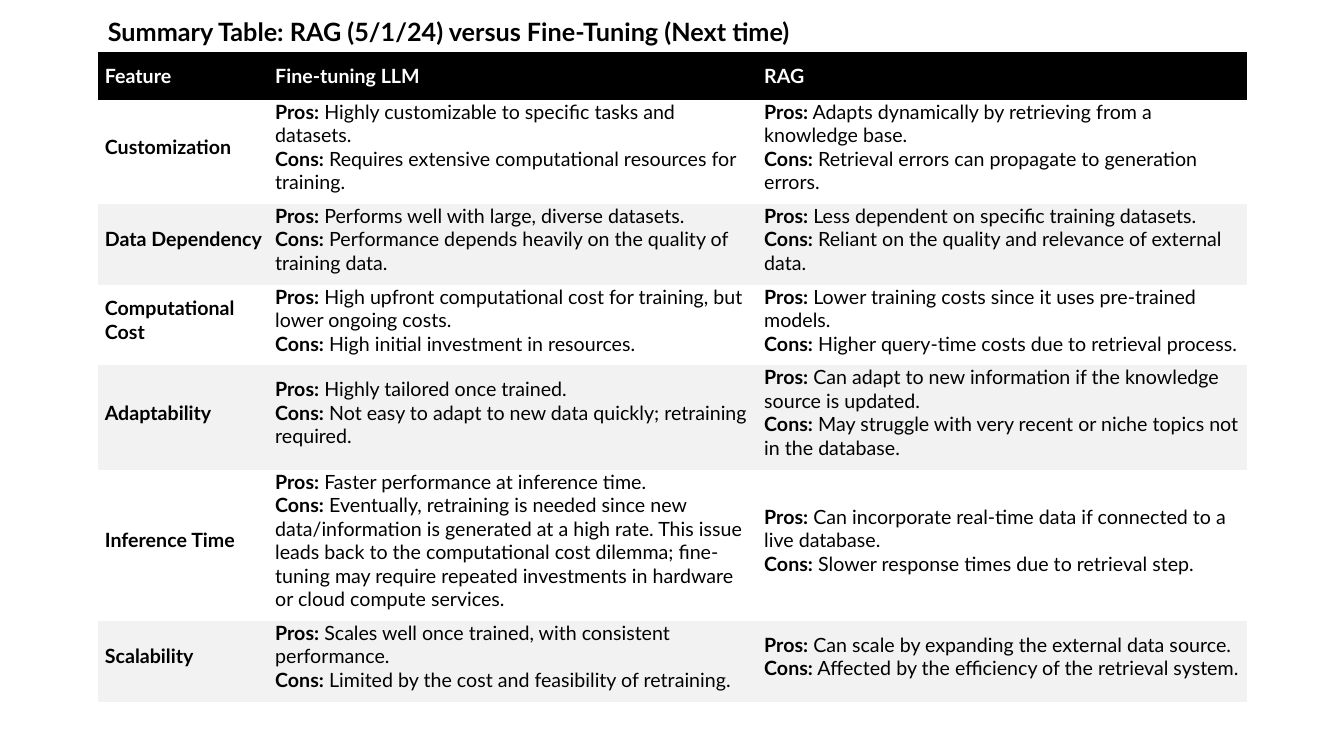
from pptx import Presentation
from pptx import util as u
from pptx.dml.color import RGBColor
from pptx.enum import text

TITLE = "Summary Table: RAG (5/1/24) versus Fine-Tuning (Next time)"
HEADERS = ["Feature", "Fine-tuning LLM", "RAG"]
# Feature, (pros, cons) of fine-tuning, (pros, cons) of RAG, text lines in the row
FEATURES = [
    ("Customization",
     ("Highly customizable to specific tasks and datasets.",
      "Requires extensive computational resources for training."),
     ("Adapts dynamically by retrieving from a knowledge base.",
      "Retrieval errors can propagate to generation errors."), 4),
    ("Data Dependency",
     ("Performs well with large, diverse datasets.",
      "Performance depends heavily on the quality of training data."),
     ("Less dependent on specific training datasets.",
      "Reliant on the quality and relevance of external data."), 3),
    ("Computational Cost",
     ("High upfront computational cost for training, but lower ongoing costs.",
      "High initial investment in resources."),
     ("Lower training costs since it uses pre-trained models.",
      "Higher query-time costs due to retrieval process."), 3),
    ("Adaptability",
     ("Highly tailored once trained.",
      "Not easy to adapt to new data quickly; retraining required."),
     ("Can adapt to new information if the knowledge source is updated.",
      "May struggle with very recent or niche topics not in the database."), 4),
    ("Inference Time",
     ("Faster performance at inference time.",
      "Eventually, retraining is needed since new data/information is generated "
      "at a high rate. This issue leads back to the computational cost dilemma; "
      "fine-tuning may require repeated investments in hardware or cloud compute "
      "services."),
     ("Can incorporate real-time data if connected to a live database.",
      "Slower response times due to retrieval step."), 6),
    ("Scalability",
     ("Scales well once trained, with consistent performance.",
      "Limited by the cost and feasibility of retraining."),
     ("Can scale by expanding the external data source.",
      "Affected by the efficiency of the retrieval system."), 3),
]

FONT = "Lato"
BLACK, WHITE, BAND = "000000", "FFFFFF", "F2F2F2"
LEFT, TITLE_TOP, TABLE_TOP = 0.97, 0.11, 0.52
COLUMNS = [1.69, 4.85, 4.86]
HEADER_HEIGHT, LINE_HEIGHT, PADDING = 0.47, 0.23, 0.1
NO_STYLE = "{2D5ABB26-0587-4C30-8999-92F81FD0307C}"


def color(value):
    return RGBColor.from_string(value)


def write(frame, paragraphs, size=14, ink=BLACK, anchor=text.MSO_ANCHOR.MIDDLE):
    """Fill a text frame; each paragraph is a list of (words, bold) runs."""
    frame.word_wrap = True
    frame.vertical_anchor = anchor
    for index, runs in enumerate(paragraphs):
        paragraph = frame.add_paragraph() if index else frame.paragraphs[0]
        paragraph.alignment = text.PP_ALIGN.LEFT
        for words, bold in runs:
            run = paragraph.add_run()
            run.text = words
            run.font.name = FONT
            run.font.size = u.Pt(size)
            run.font.bold = bold
            run.font.color.rgb = color(ink)


def fill_cell(cell, paragraphs, fill=None, ink=BLACK, top=0):
    cell.margin_left, cell.margin_right = u.Inches(0.07), u.Inches(0.05)
    cell.margin_top, cell.margin_bottom = u.Inches(top), u.Inches(PADDING)
    if fill:
        cell.fill.solid()
        cell.fill.fore_color.rgb = color(fill)
    else:
        cell.fill.background()
    write(cell.text_frame, paragraphs, ink=ink)
    cell.vertical_anchor = text.MSO_ANCHOR.MIDDLE


def pros_and_cons(pair):
    return [[(label, True), (" " + words, False)]
            for label, words in zip(("Pros:", "Cons:"), pair)]


def add_title(slide):
    title = slide.shapes.title
    title.left, title.top = u.Inches(LEFT), u.Inches(TITLE_TOP)
    title.width, title.height = u.Inches(8.32), u.Inches(0.4)
    title.text_frame.auto_size = text.MSO_AUTO_SIZE.NONE
    write(title.text_frame, [[(TITLE, True)]], size=18)


def add_comparison(slide):
    heights = [HEADER_HEIGHT] + [lines * LINE_HEIGHT + PADDING
                                 for *_, lines in FEATURES]
    table = slide.shapes.add_table(
        len(heights), len(COLUMNS), u.Inches(LEFT), u.Inches(TABLE_TOP),
        u.Inches(sum(COLUMNS)), u.Inches(sum(heights))).table
    table._tbl.tblPr[0].text = NO_STYLE
    table.horz_banding = False
    for column, width in zip(table.columns, COLUMNS):
        column.width = u.Inches(width)
    for row, height in zip(table.rows, heights):
        row.height = u.Inches(height)

    for column, header in enumerate(HEADERS):
        fill_cell(table.cell(0, column), [[(header, True)]],
                  fill=BLACK, ink=WHITE, top=PADDING)
    for row, (feature, tuning, rag, _) in enumerate(FEATURES, start=1):
        contents = [[[(feature, True)]], pros_and_cons(tuning), pros_and_cons(rag)]
        for column, paragraphs in enumerate(contents):
            fill_cell(table.cell(row, column), paragraphs,
                      fill=None if row % 2 else BAND)


def main():
    presentation = Presentation()
    presentation.slide_width = u.Inches(13.33)
    presentation.slide_height = u.Inches(7.5)
    slide = presentation.slides.add_slide(presentation.slide_layouts[5])
    add_title(slide)
    add_comparison(slide)
    presentation.save("out.pptx")


if __name__ == "__main__":
    main()
